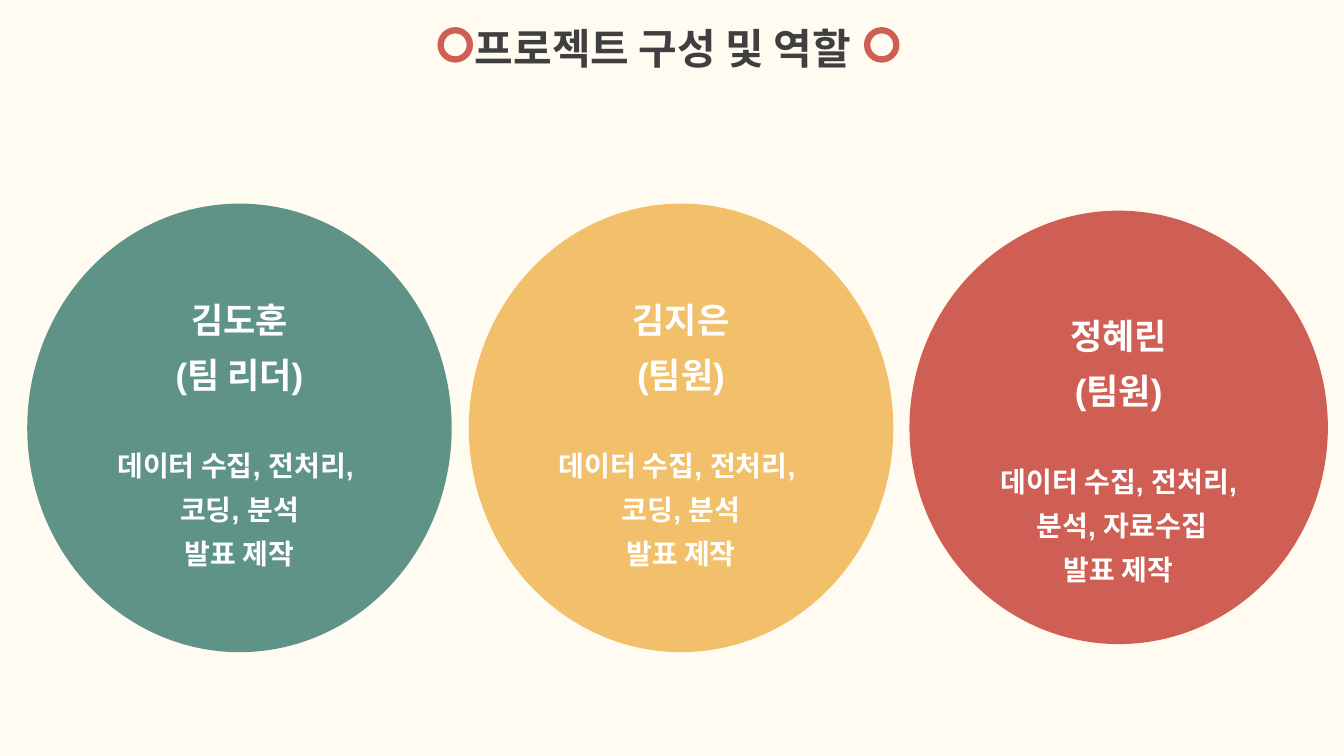
"""Build the project team and roles slide."""
import dataclasses

import pptx
import pptx.dml.color
import pptx.enum.shapes
import pptx.enum.text
import pptx.util

Inches = pptx.util.Inches
Pt = pptx.util.Pt
RGB = pptx.dml.color.RGBColor.from_string
OVAL = pptx.enum.shapes.MSO_SHAPE.OVAL
CENTER = pptx.enum.text.PP_ALIGN.CENTER


@dataclasses.dataclass(frozen=True)
class Theme:
    """Colours, font and type sizes of the slide."""
    background: str = "FFFBF0"
    ink: str = "3F3F3F"
    white: str = "FFFFFF"
    green: str = "5F9387"
    yellow: str = "F2C06B"
    red: str = "CF5F54"
    font: str = "Arial"
    title_size: int = 30
    name_size: int = 25
    task_size: int = 20
    task_gap: int = 31
    line_spacing: float = 1.3
    ring_width: float = 4.5


class TeamSlide:
    """Hold the theme and the current slide, and draw its elements."""

    def __init__(self, prs, theme):
        """Add a title-only slide with the theme background."""
        self.theme = theme
        self.slide = prs.slides.add_slide(prs.slide_layouts[5])
        fill = self.slide.background.fill
        fill.solid()
        fill.fore_color.rgb = RGB(theme.background)

    def format(self, p, size, color):
        """Centre a paragraph and set its font."""
        p.alignment = CENTER
        p.font.name = self.theme.font
        p.font.size = Pt(size)
        p.font.bold = True
        p.font.color.rgb = RGB(color)

    def title(self, text, left, top, width, height):
        """Place and format the title placeholder."""
        sp = self.slide.shapes.title
        sp.left, sp.top = Inches(left), Inches(top)
        sp.width, sp.height = Inches(width), Inches(height)
        tf = sp.text_frame
        tf.text = text
        tf.word_wrap = True
        tf.auto_size = pptx.enum.text.MSO_AUTO_SIZE.NONE
        tf.vertical_anchor = pptx.enum.text.MSO_ANCHOR.TOP
        self.format(tf.paragraphs[0], self.theme.title_size, self.theme.ink)

    def oval(self, left, top, width, height):
        """Add a plain oval without shadow."""
        sp = self.slide.shapes.add_shape(
            OVAL, Inches(left), Inches(top), Inches(width), Inches(height))
        sp.shadow.inherit = False
        return sp

    def ring(self, left, top, size):
        """Add an open circle beside the title."""
        sp = self.oval(left, top, size, size)
        sp.fill.background()
        sp.line.color.rgb = RGB(self.theme.red)
        sp.line.width = Pt(self.theme.ring_width)

    def member(self, box, color, heading, tasks, inset=0.05):
        """Add a filled circle with a member's name, role and tasks."""
        theme = self.theme
        sp = self.oval(*box)
        sp.fill.solid()
        sp.fill.fore_color.rgb = RGB(color)
        sp.line.fill.background()
        tf = sp.text_frame
        tf.word_wrap = True
        tf.margin_top = Inches(inset)
        tf.vertical_anchor = pptx.enum.text.MSO_ANCHOR.MIDDLE
        tf.text = "\n".join(heading + tasks)
        for i, p in enumerate(tf.paragraphs):
            is_heading = i < len(heading)
            self.format(p, theme.name_size if is_heading else theme.task_size, theme.white)
            p.line_spacing = theme.line_spacing
            if i == len(heading):
                p.space_before = Pt(theme.task_gap)


def main():
    """Build and save the slide."""
    prs = pptx.Presentation()
    prs.slide_width, prs.slide_height = Inches(13.33), Inches(7.5)
    theme = Theme()
    s = TeamSlide(prs, theme)
    coding = ["데이터 수집, 전처리, ", "코딩, 분석", "발표 제작"]
    research = ["데이터 수집, 전처리,", " 분석, 자료수집", "발표 제작"]
    s.member((0.27, 2.02, 4.21, 4.45), theme.green, ["김도훈", "(팀 리더)"], coding)
    s.member((4.65, 2.02, 4.21, 4.45), theme.yellow, ["김지은", "(팀원)"], coding)
    s.member((9.02, 2.09, 4.15, 4.3), theme.red, ["정혜린", "(팀원)"], research, inset=0.38)
    s.title("프로젝트 구성 및 역할 ", 4.48, 0.17, 4.29, 0.55)
    for left in (4.37, 8.6):
        s.ring(left, 0.3, 0.29)
    prs.save("out.pptx")


if __name__ == "__main__":
    main()
